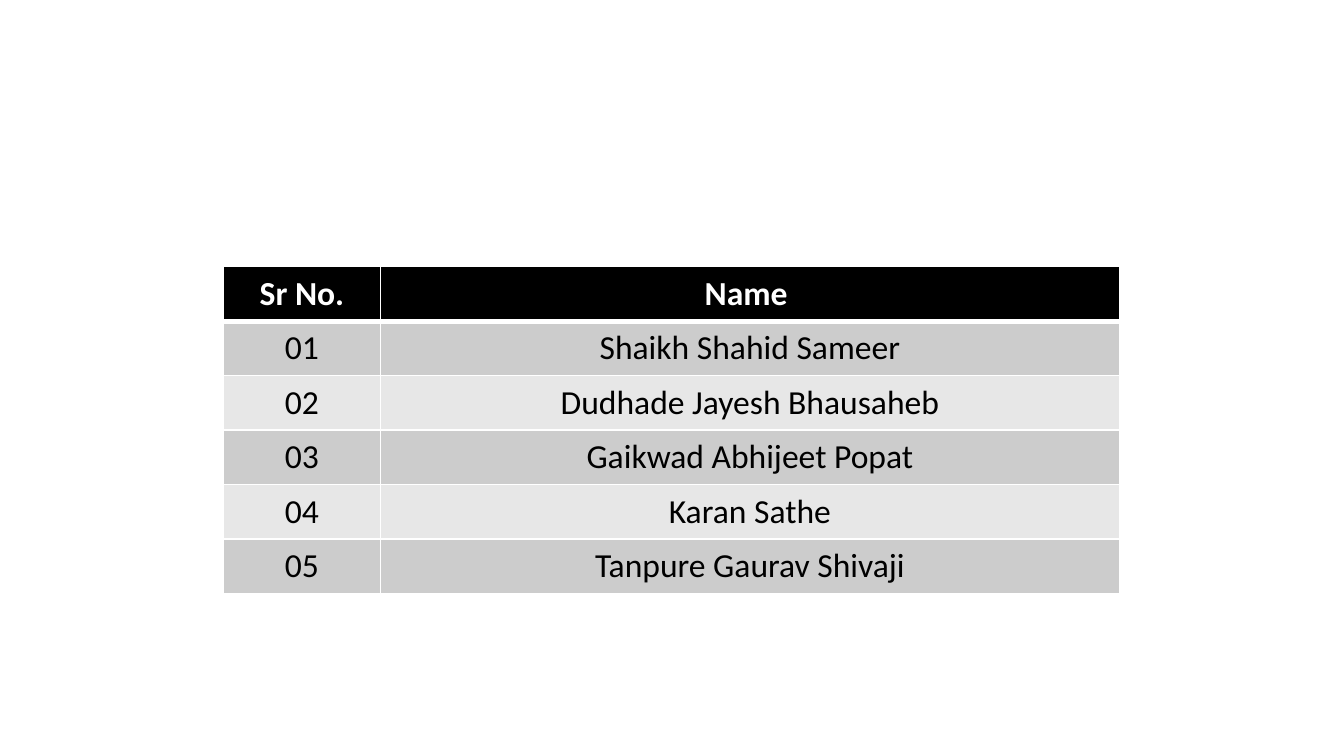
from dataclasses import dataclass

from lxml.etree import SubElement
from pptx import Presentation
from pptx.dml.color import RGBColor as RGB
from pptx.enum.text import PP_ALIGN as ALIGN
from pptx.oxml.ns import qn
from pptx.util import Pt


@dataclass(frozen=True)
class Theme:
    font: str = "Calibri"
    size: int = 18
    dark: str = "000000"
    light: str = "FFFFFF"
    bands: tuple = ("CCCCCC", "E7E7E7")
    thin: int = 1
    thick: int = 3


theme = Theme()


def write(tf, text, color=theme.dark, bold=False):
    p = tf.paragraphs[0]
    p.alignment = ALIGN.CENTER
    r = p.add_run()
    r.text = text
    r.font.name = theme.font
    r.font.size = Pt(theme.size)
    r.font.bold = bold
    r.font.color.rgb = RGB.from_string(color)


def add_border(cell, side, width):
    tc_pr = cell._tc.get_or_add_tcPr()
    ln = SubElement(tc_pr, qn(f"a:ln{side}"), w=str(Pt(width)))
    fill = SubElement(ln, qn("a:solidFill"))
    SubElement(fill, qn("a:srgbClr"), val=theme.light)


prs = Presentation()
prs.slide_width, prs.slide_height = Pt(720), Pt(405)
s = prs.slides.add_slide(prs.slide_layouts[6])

rows = [
    ("Sr No.", "Name "),
    ("01", "Shaikh Shahid Sameer"),
    ("02", "Dudhade Jayesh Bhausaheb"),
    ("03", "Gaikwad Abhijeet Popat"),
    ("04", "Karan Sathe"),
    ("05", "Tanpure Gaurav Shivaji"),
]
col_widths = (84, 396)
row_height = 29.2

table = s.shapes.add_table(
    len(rows), len(col_widths), Pt(119.8), Pt(142.8),
    Pt(sum(col_widths)), Pt(row_height * len(rows)),
).table
for column, width in zip(table.columns, col_widths):
    column.width = Pt(width)

for i, row in enumerate(rows):
    table.rows[i].height = Pt(row_height)
    header = i == 0
    for j, text in enumerate(row):
        cell = table.cell(i, j)
        for side in "LRTB":
            under_header = (i, side) in ((0, "B"), (1, "T"))
            add_border(cell, side, theme.thick if under_header else theme.thin)
        cell.fill.solid()
        color = theme.dark if header else theme.bands[(i - 1) % 2]
        cell.fill.fore_color.rgb = RGB.from_string(color)
        write(cell.text_frame, text, bold=header,
              color=theme.light if header else theme.dark)

prs.save("out.pptx")
